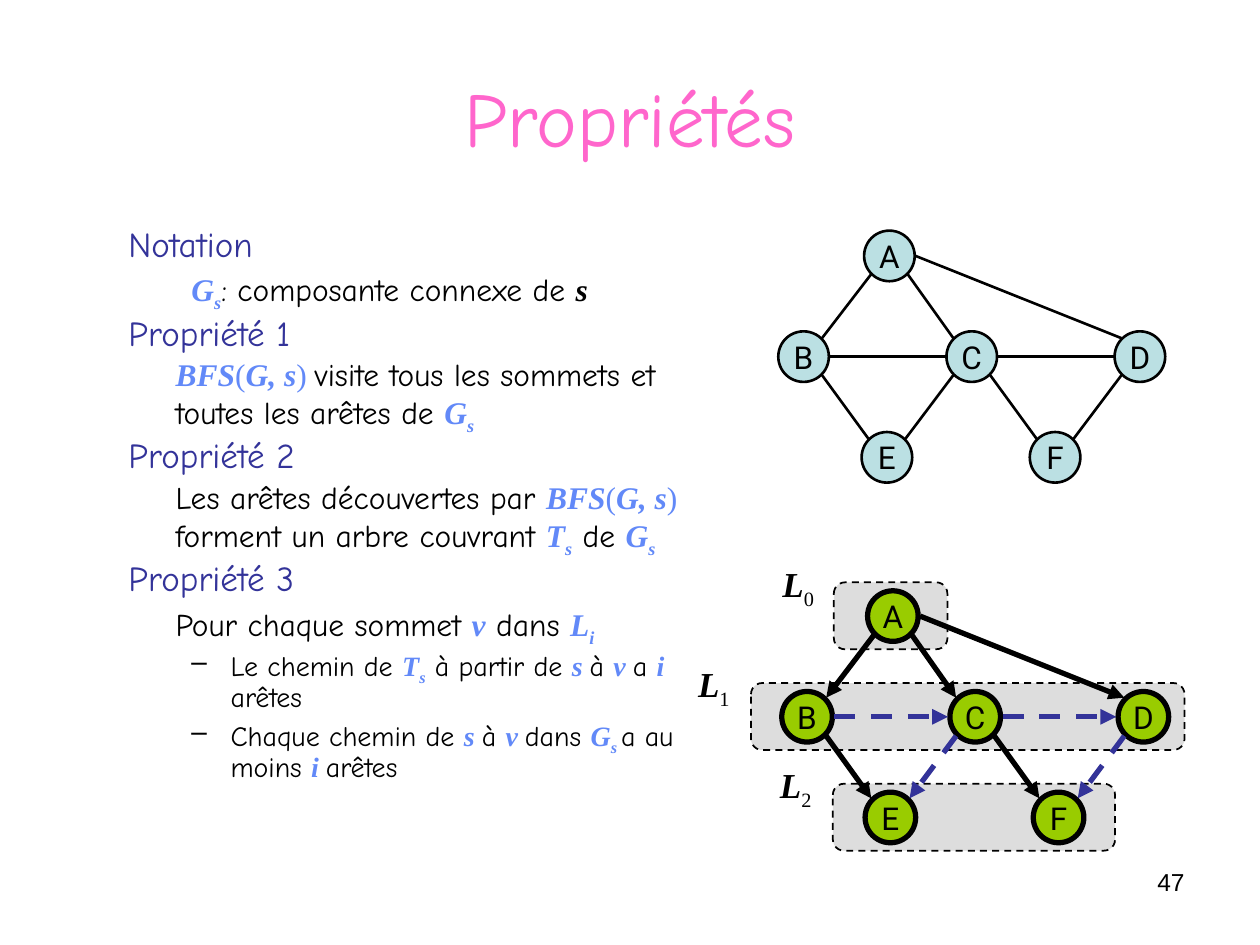
import lxml.etree
import pptx
import pptx.dml.color
import pptx.enum.dml
import pptx.enum.shapes
import pptx.enum.text
import pptx.oxml.ns
import pptx.util

Cm, Pt = pptx.util.Cm, pptx.util.Pt
qn = pptx.oxml.ns.qn
SHAPE = pptx.enum.shapes.MSO_SHAPE
ALIGN = pptx.enum.text.PP_ALIGN
MIDDLE = pptx.enum.text.MSO_ANCHOR.MIDDLE
DASH = pptx.enum.dml.MSO_LINE.DASH

BLACK, INDIGO, BLUE = "000000", "333399", "6289F8"
# style: font, colour, bold italic, baseline
STYLES = {
    "title": ("Comic Neue", "FF66CC", False, 0),
    "heading": ("Comic Neue", INDIGO, False, 0),
    "plain": ("Comic Neue", BLACK, False, 0),
    "math": ("Times New Roman", BLUE, True, 0),
    "sub": ("Times New Roman", BLUE, True, -25000),
    "paren": ("Times New Roman", BLUE, False, 0),
    "vertex": ("Times New Roman", BLACK, True, 0),
    "index": ("Times New Roman", BLACK, False, -25000),
    "node": ("Roboto", BLACK, False, 0),
    "number": ("Arial", BLACK, False, 0),
}


def colour(hex_code):
    return pptx.dml.color.RGBColor.from_string(hex_code)


def add_run(paragraph, text, style, size):
    font_name, hex_code, emphasis, baseline = STYLES[style]
    run = paragraph.add_run()
    run.text = text
    run.font.name = font_name
    run.font.size = Pt(size)
    run.font.bold = run.font.italic = emphasis
    run.font.color.rgb = colour(hex_code)
    if baseline:
        run.font._element.set("baseline", str(baseline))


deck = pptx.Presentation()
deck.slide_width, deck.slide_height = Cm(25.4), Cm(19.05)
slide = deck.slides.add_slide(deck.slide_layouts[5])
shapes = slide.shapes

title = shapes.title
title.left, title.top, title.width, title.height = Cm(1.27), Cm(0.76), Cm(22.86), Cm(3.18)
title.text_frame.vertical_anchor = MIDDLE
title.text_frame.paragraphs[0].alignment = ALIGN.CENTER
add_run(title.text_frame.paragraphs[0], "Propriétés", "title", 44)

page_number = shapes.add_textbox(Cm(18.21), Cm(17.35), Cm(5.92), Cm(1.32)).text_frame
page_number.word_wrap = True
page_number.paragraphs[0].alignment = ALIGN.RIGHT
add_run(page_number.paragraphs[0], "47", "number", 14)

# level: size, space before, left margin, first-line indent (cm), bullet
LEVELS = {
    "heading": (20, 3.7, 0, 0, None),
    "notation": (18, 3.4, 2.06, -0.79, None),
    "statement": (18, 3.4, 0.95, 0, None),
    "item": (16, 3, 2.06, -0.79, "–"),
}
BFS_CALL = [("BFS", "math"), ("(", "paren"), ("G, s", "math"), (") ", "paren")]
COMPONENT = [("G", "math"), ("s", "sub")]
TREE = [("T", "math"), ("s", "sub")]
PROPERTIES = [
    ("heading", [("Notation", "heading")]),
    ("notation", COMPONENT + [(": composante connexe de ", "plain"), ("s", "vertex")]),
    ("heading", [("Propriété 1", "heading")]),
    ("statement", BFS_CALL
     + [("visite tous les sommets et toutes les arêtes de ", "plain")] + COMPONENT),
    ("heading", [("Propriété 2", "heading")]),
    ("statement", [("Les arêtes découvertes par ", "plain")] + BFS_CALL
     + [("forment un arbre couvrant ", "plain")] + TREE + [(" de ", "plain")] + COMPONENT),
    ("heading", [("Propriété 3", "heading")]),
    ("statement", [("Pour chaque sommet ", "plain"), ("v", "math"), (" dans ", "plain"),
                   ("L", "math"), ("i", "sub")]),
    ("item", [("Le chemin de ", "plain")] + TREE
     + [(" à partir de ", "plain"), ("s ", "math"), ("à ", "plain"), ("v ", "math"),
        ("a ", "plain"), ("i ", "math"), ("arêtes", "plain")]),
    ("item", [("Chaque chemin de ", "plain"), ("s ", "math"), ("à ", "plain"), ("v ", "math"),
              ("dans ", "plain"), ("G", "math"), ("s ", "sub"), ("a au moins ", "plain"),
              ("i ", "math"), ("arêtes", "plain")]),
]
body = shapes.add_textbox(Cm(2.34), Cm(4.45), Cm(12.7), Cm(13.54)).text_frame
body.word_wrap = True
for number, (level, runs) in enumerate(PROPERTIES):
    size, space_before, margin, indent, bullet = LEVELS[level]
    paragraph = body.add_paragraph() if number else body.paragraphs[0]
    properties = paragraph._p.get_or_add_pPr()
    properties.set("marL", str(Cm(margin)))
    properties.set("indent", str(Cm(indent)))
    if bullet:
        lxml.etree.SubElement(properties, qn("a:buChar")).set("char", bullet)
    paragraph.line_spacing = 0.9
    if number:
        paragraph.space_before = Pt(space_before)
    for text, style in runs:
        add_run(paragraph, text, style, size)

ROW_STEP, COLUMN_STEP, DIAMETER = 2.03, 3.39, 1.02
TREE_SHIFT = (0.07, 7.26)
FIRST_ROW = 5.16

# Bands of the BFS levels: band left, band width, label left
BANDS = [(16.81, 2.29, 15.44), (15.14, 8.74, 13.74), (16.79, 5.69, 15.39)]
for row, (left, width, label_left) in enumerate(BANDS):
    top = FIRST_ROW + TREE_SHIFT[1] + row * ROW_STEP - 0.68
    band = shapes.add_shape(SHAPE.ROUNDED_RECTANGLE, Cm(left), Cm(top), Cm(width), Cm(1.35))
    band.shadow.inherit = False
    band.fill.solid()
    band.fill.fore_color.rgb = colour("DDDDDD")
    band.line.color.rgb = colour(BLACK)
    band.line.width = Pt(1)
    band.line.dash_style = DASH
    label = shapes.add_textbox(Cm(label_left), Cm(top - 0.53), Cm(1.3), Cm(1.22)).text_frame
    label.word_wrap = False
    label.paragraphs[0].alignment = ALIGN.CENTER
    add_run(label.paragraphs[0], "L", "vertex", 20)
    add_run(label.paragraphs[0], str(row), "index", 20)

# Node centres: x of the first node in a row, row, names
ROWS = [(17.93, "A"), (16.2, "BCD"), (17.88, "EF")]
CENTRES = {
    name: (first_x + column * COLUMN_STEP, FIRST_ROW + row * ROW_STEP)
    for row, (first_x, names) in enumerate(ROWS)
    for column, name in enumerate(names)
}
# Where an edge meets a node, in radii from its centre
SIDES = {"e": (1, 0), "w": (-1, 0), "ne": (0.7, -0.7), "nw": (-0.7, -0.7),
         "se": (0.7, 0.7), "sw": (-0.7, 0.7)}
# from, side, to, side, in the BFS tree
EDGES = [
    ("A", "sw", "B", "ne", True), ("A", "se", "C", "nw", True), ("A", "e", "D", "nw", True),
    ("B", "e", "C", "w", False), ("C", "e", "D", "w", False),
    ("B", "se", "E", "nw", True), ("C", "sw", "E", "ne", False),
    ("C", "se", "F", "nw", True), ("D", "sw", "F", "ne", False),
]
# shift, node fill, line width, edge distance from node centre, directed
GRAPHS = [((0, 0), "BBE0E3", 1.5, 0.53, False), (TREE_SHIFT, "99CC00", 3, 0.55, True)]
for (shift_x, shift_y), fill, line_width, reach, directed in GRAPHS:
    for name, (x, y) in CENTRES.items():
        node = shapes.add_shape(SHAPE.OVAL, Cm(x + shift_x - DIAMETER / 2),
                                Cm(y + shift_y - DIAMETER / 2), Cm(DIAMETER), Cm(DIAMETER))
        node.shadow.inherit = False
        node.fill.solid()
        node.fill.fore_color.rgb = colour(fill)
        node.line.color.rgb = colour(BLACK)
        node.line.width = Pt(line_width)
        node.text_frame.word_wrap = False
        node.text_frame.vertical_anchor = MIDDLE
        node.text_frame.paragraphs[0].alignment = ALIGN.CENTER
        add_run(node.text_frame.paragraphs[0], name, "node", 18)
    for start, start_side, end, end_side, in_tree in EDGES:
        ends = []
        for name, side in ((start, start_side), (end, end_side)):
            ends.append(Cm(CENTRES[name][0] + shift_x + reach * SIDES[side][0]))
            ends.append(Cm(CENTRES[name][1] + shift_y + reach * SIDES[side][1]))
        edge = shapes.add_connector(pptx.enum.shapes.MSO_CONNECTOR.STRAIGHT, *ends)
        cross_edge = directed and not in_tree
        edge.line.color.rgb = colour(INDIGO if cross_edge else BLACK)
        edge.line.width = Pt(line_width)
        if cross_edge:
            edge.line.dash_style = DASH
        if directed:
            outline = edge._element.spPr.find(qn("a:ln"))
            lxml.etree.SubElement(outline, qn("a:tailEnd")).set("type", "triangle")
        lxml.etree.SubElement(edge._element.spPr, qn("a:effectLst"))

deck.save("out.pptx")
